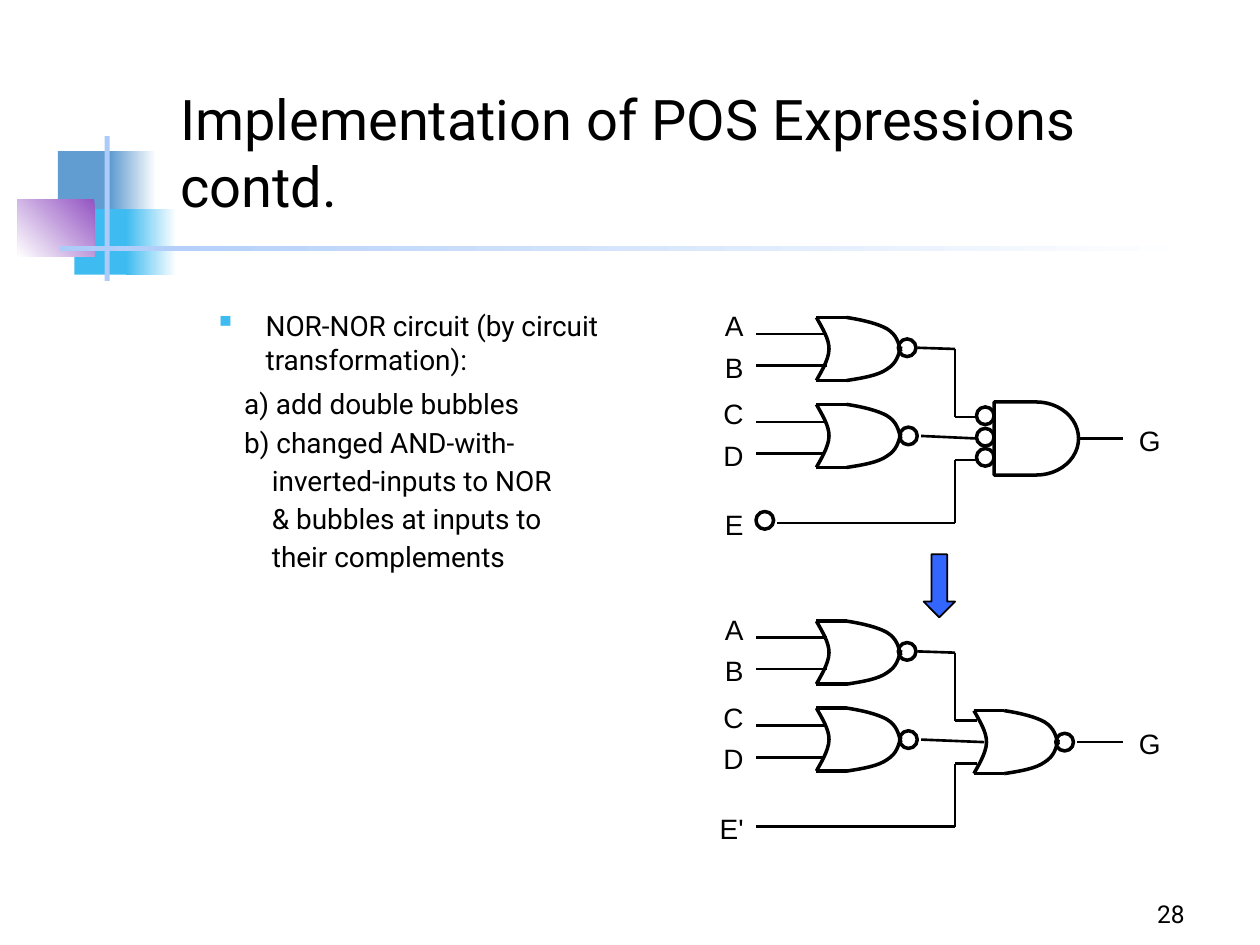
"""Build the slide on NOR-NOR circuits for POS expressions."""
from lxml.etree import SubElement
from pptx import Presentation
from pptx.dml.color import RGBColor
from pptx.enum.shapes import MSO_CONNECTOR, MSO_SHAPE as Preset
from pptx.enum.text import MSO_ANCHOR as Anchor, PP_ALIGN as Align
from pptx.oxml.ns import qn
from pptx.util import Inches, Pt

TITLE = "Implementation of POS Expressions contd."
BULLET = "NOR-NOR circuit (by circuit transformation):"
STEPS = [  # text, indent, line spacing
    ("a) add double bubbles", 0.33, 1.0),
    ("b) changed AND-with-", 0.33, 0.8),
    ("inverted-inputs to NOR", 0.55, 0.8),
    ("& bubbles at inputs to", 0.55, 0.8),
    ("their complements", 0.55, 0.8),
]
STEPS_FORMAT = {"space_before": Pt(6.4)}
PAGE = "28"
BLACK, WHITE, BLUE, CYAN, PURPLE, PALE = "000000", "FFFFFF", "629DD1", "3EBBF0", "9454C3", "ACCBF9"
DECORATION = [
    ((0.46, 1.2, 0.48, 0.52), (BLUE,), 0),
    ((0.88, 1.2, 0.36, 0.52), (WHITE, BLUE), 180),
    ((0.59, 1.66, 0.46, 0.52), (CYAN,), 0),
    ((1, 1.66, 0.4, 0.52), (WHITE, CYAN), 180),
    ((0.14, 1.58, 0.61, 0.46), (PURPLE, WHITE), 225),
    ((0.83, 1.08, 0.04, 1.15), (PALE,), 0),
    ((0.48, 1.95, 9, 0.04), (WHITE, PALE), 180),
]

LABEL_X, INPUT_X, GATE_X, ELBOW_X, MERGE_X = 5.58, 6, 6.48, 7.58, 7.75
BUBBLE, THIN, THICK = 0.14, 1.5, 2
LABEL_ROWS = (0, 0.33, 0.7, 1.03, 1.58)
INPUT_WIRES = [(0.25, 6.56), (0.5, 6.56), (0.95, 6.54), (1.2, 6.53)]
GATE_ROWS = (0.12, 0.81)
GATE_BUBBLES = [(7.13, 0.29), (7.14, 0.99)]
WIRES = [
    (7.28, 0.36, ELBOW_X, 0.37), (ELBOW_X, 0.37, ELBOW_X, 0.91),
    (ELBOW_X, 0.91, MERGE_X, 0.91), (ELBOW_X, 1.25, MERGE_X, 1.25),
    (ELBOW_X, 1.25, ELBOW_X, 1.75), (8.55, 1.08, 8.91, 1.08),
]
CIRCUITS = [
    {"top": 2.4, "inputs": ["A", "B", "C", "D", "E"], "e_start": 6.17, "middle_end": 7.75,
     "bubbles": [(INPUT_X, 1.66), (MERGE_X, 0.83), (MERGE_X, 1), (MERGE_X, 1.16)]},
    {"top": 4.81, "inputs": ["A", "B", "C", "D", "E'"], "e_start": INPUT_X, "middle_end": 7.81,
     "bubbles": [(8.38, 1.01)]},
]
GATE_CURVES = [
    [(0, 0), (0.05, 0.09), (0.1, 0.17), (0.1, 0.25), (0.1, 0.34), (0.02, 0.46), (0, 0.5)],
    [(0.24, 0), (0.37, 0.02), (0.49, 0.05), (0.56, 0.09), (0.64, 0.14), (0.65, 0.2), (0.67, 0.27)],
    [(0.24, 0.5), (0.37, 0.48), (0.49, 0.46), (0.56, 0.41), (0.64, 0.36), (0.65, 0.3), (0.67, 0.23)],
]

deck = Presentation()
deck.slide_width, deck.slide_height = Inches(10), Inches(7.5)
slide = deck.slides.add_slide(deck.slide_layouts[5])
shapes = slide.shapes


def color(code):
    return RGBColor.from_string(code)


def assign(target, values):
    for name, value in values.items():
        setattr(target, name, value)


def outline(shape, width):
    shape.line.color.rgb = color(BLACK)
    shape.line.width = Pt(width)


def write(paragraph, text, size, font="Roboto", **layout):
    paragraph.text = text
    assign(paragraph, layout)
    assign(paragraph.font, {"size": Pt(size), "name": font})
    paragraph.font.color.rgb = color(BLACK)


def text_box(box, anchor=Anchor.TOP):
    frame = shapes.add_textbox(*map(Inches, box)).text_frame
    assign(frame, {"word_wrap": True, "vertical_anchor": anchor})
    return frame


def label(text, x, y, width, align):
    write(text_box((x, y, width, 0.37)).paragraphs[0], text, 16, "Arial", alignment=align)


def preset(kind, box, fills=(), angle=0, width=0):
    shape = shapes.add_shape(kind, *map(Inches, box))
    shape.shadow.inherit = False
    if len(fills) > 1:
        shape.fill.gradient()
        shape.fill.gradient_angle = angle
        for stop, code in zip(shape.fill.gradient_stops, fills):
            stop.color.rgb = color(code)
    elif fills:
        shape.fill.solid()
        shape.fill.fore_color.rgb = color(fills[0])
    else:
        shape.fill.background()
    if width:
        outline(shape, width)
    else:
        shape.line.fill.background()


def wire(x1, y1, x2, y2, width=THIN):
    line = shapes.add_connector(MSO_CONNECTOR.STRAIGHT, *map(Inches, (x1, y1, x2, y2)))
    outline(line, width)
    SubElement(line._element.spPr, qn("a:effectLst"))


def curve_through(points):
    builder = shapes.build_freeform(*points[0])
    builder.add_line_segments(points[1:], close=False)
    arc = builder.convert_to_shape()
    arc.shadow.inherit = False
    arc.fill.background()
    outline(arc, THICK)
    outline_node = next(arc._element.iter(qn("a:path")))
    segments = outline_node.findall(qn("a:lnTo"))
    for first in range(0, len(segments), 3):
        cubic = SubElement(outline_node, qn("a:cubicBezTo"))
        for segment in segments[first:first + 3]:
            cubic.append(segment[0])
            outline_node.remove(segment)


def or_gate(x, y):
    for curve in GATE_CURVES:
        curve_through([(Inches(x + dx), Inches(y + dy)) for dx, dy in curve])
    for edge in (y, y + 0.5):
        wire(x, edge, x + 0.24, edge, THICK)


def draw_circuit(top, inputs, e_start, middle_end, bubbles):
    for text, row in zip(inputs, LABEL_ROWS):
        label(text, LABEL_X, top + row, 0.42, Align.RIGHT)
    label("G", 8.94, top + 0.91, 0.39, Align.LEFT)
    input_wires = [(INPUT_X, row, end, row) for row, end in INPUT_WIRES]
    own_wires = [(e_start, 1.75, ELBOW_X, 1.75), (7.31, 1.06, middle_end, 1.08)]
    for x1, y1, x2, y2 in input_wires + WIRES + own_wires:
        wire(x1, top + y1, x2, top + y2)
    for row in GATE_ROWS:
        or_gate(GATE_X, top + row)
    for x, y in GATE_BUBBLES + bubbles:
        preset(Preset.OVAL, (x, top + y, BUBBLE, BUBBLE), width=THICK)


def set_indent(props, margin, hanging):
    props.set("marL", str(Inches(margin)))
    props.set("indent", str(Inches(hanging)))


def draw_body():
    frame = text_box((1.51, 2.4, 4.01, 2.8))
    bullet = frame.paragraphs[0]
    props = bullet._p.get_or_add_pPr()
    set_indent(props, 0.5, -0.38)
    SubElement(SubElement(props, qn("a:buClr")), qn("a:srgbClr"), val=CYAN)
    SubElement(props, qn("a:buSzPct"), val="120000")
    SubElement(props, qn("a:buFont"), typeface="Wingdings", charset="2")
    SubElement(props, qn("a:buChar"), char="§")
    write(bullet, BULLET, 16)
    for text, indent, spacing in STEPS:
        step = frame.add_paragraph()
        set_indent(step._p.get_or_add_pPr(), indent, 0)
        write(step, text, 16, line_spacing=spacing, **STEPS_FORMAT)


for box, fills, angle in DECORATION:
    preset(Preset.RECTANGLE, box, fills, angle)
title = shapes.title
assign(title, dict(zip(("left", "top", "width", "height"), map(Inches, (1.33, 0.96, 8.5, 0.83)))))
assign(title.text_frame, {"vertical_anchor": Anchor.BOTTOM, "word_wrap": True})
write(title.text_frame.paragraphs[0], TITLE, 32, alignment=Align.LEFT)
draw_body()
for circuit in CIRCUITS:
    draw_circuit(**circuit)
preset(Preset.FLOWCHART_DELAY, (7.89, 3.19, 0.67, 0.58), width=THICK)
or_gate(7.73, 5.64)
preset(Preset.DOWN_ARROW, (7.33, 4.4, 0.25, 0.5), ("3366FF",), width=1)
write(text_box((7.42, 6.92, 2.08, 0.5), Anchor.BOTTOM).paragraphs[0], PAGE, 14, alignment=Align.RIGHT)
deck.save("out.pptx")
